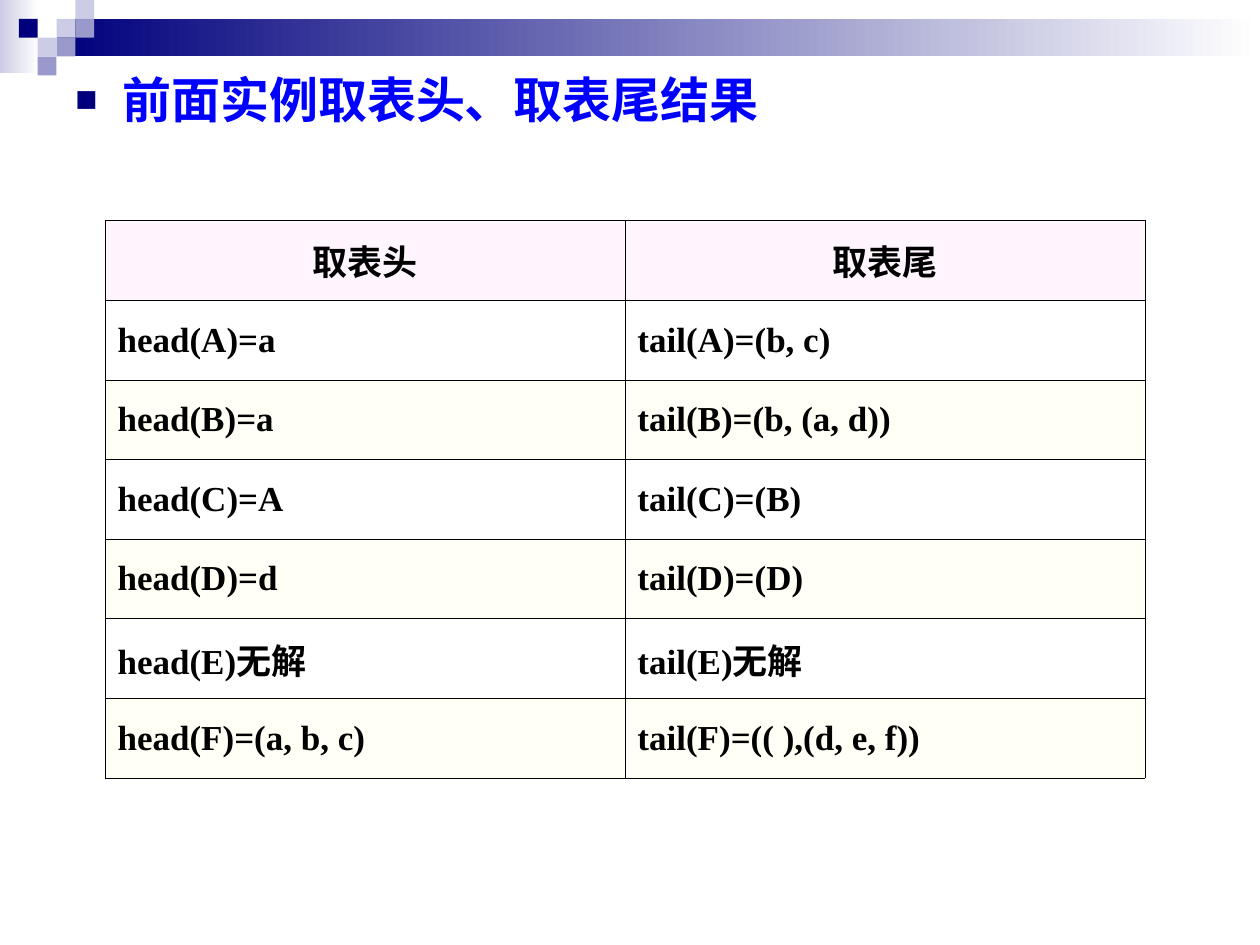
import pptx
import pptx.dml.color
import pptx.enum.shapes
import pptx.enum.text
import pptx.oxml
import pptx.oxml.ns
import pptx.util
from lxml import etree

Cm, Pt = pptx.util.Cm, pptx.util.Pt
ALIGN = pptx.enum.text.PP_ALIGN
NAVY, LILAC, MAUVE, WHITE = "00007D", "CCCCE6", "9999CC", "FFFFFF"
UNIT = 0.38  # side of one square of the corner mosaic

ROWS = [
    ("取表头", "取表尾"),
    ("head(A)=a", "tail(A)=(b, c)"),
    ("head(B)=a", "tail(B)=(b, (a, d))"),
    ("head(C)=A", "tail(C)=(B)"),
    ("head(D)=d", "tail(D)=(D)"),
    ("head(E)无解", "tail(E)无解"),
    ("head(F)=(a, b, c)", "tail(F)=(( ),(d, e, f))"),
]
# column, row, colour
MOSAIC = [(3, 1, LILAC), (4, 0, LILAC), (4, 1, MAUVE), (2, 2, LILAC),
          (1, 1, NAVY), (3, 2, MAUVE), (2, 3, MAUVE)]


def tint(code):
    return pptx.dml.color.RGBColor.from_string(code)


def apply(item, form):
    for name, value in form.items():
        setattr(item, name, value)


def node(root, tag, **attrs):
    return etree.SubElement(root, pptx.oxml.ns.qn(tag), attrs)


class Deck:
    """Holds the text styles and the slide being drawn."""
    head = {"name": "Arial", "size": Pt(28), "bold": True}
    body = {"name": "Times New Roman", "size": Pt(20), "bold": True}
    inset = {"margin_left": Cm(0.25), "margin_right": Cm(0.25),
             "margin_top": Cm(0.13), "margin_bottom": Cm(0.13)}

    def __init__(self):
        self.file = pptx.Presentation()
        apply(self.file, {"slide_width": Cm(25.4), "slide_height": Cm(19.05)})
        self.slide = self.file.slides.add_slide(self.file.slide_layouts[6])

    def label(self, para, text, form, color):
        para.text = text
        apply(para.font, form)
        para.font.color.rgb = tint(color)

    def rect(self, x, y, w, h, *colors):
        """Draw a plain box; two colours make a fade from left to right."""
        kind = pptx.enum.shapes.MSO_SHAPE.RECTANGLE
        box = self.slide.shapes.add_shape(kind, Cm(x), Cm(y), Cm(w), Cm(h))
        box.shadow.inherit = False
        box.line.fill.background()
        if len(colors) == 1:
            box.fill.solid()
            box.fill.fore_color.rgb = tint(colors[0])
            return
        box.fill.gradient()
        box.fill.gradient_angle = 0
        for stop, color, place in zip(box.fill.gradient_stops, colors, (0, 1)):
            stop.color.rgb = tint(color)
            stop.position = place

    def title(self, text, x, y, w, h):
        box = self.slide.shapes.add_textbox(Cm(x), Cm(y), Cm(w), Cm(h))
        frame = box.text_frame
        apply(frame, {"word_wrap": True, **self.inset})
        para = frame.paragraphs[0]
        props = para._p.get_or_add_pPr()
        props.set("marL", str(Cm(0.95)))
        props.set("indent", str(-Cm(0.95)))
        node(node(props, "a:buClr"), "a:srgbClr", val=NAVY)
        node(props, "a:buSzPct", val="75000")
        node(props, "a:buFont", typeface="Arial")
        node(props, "a:buChar", char="■")
        self.label(para, text, self.head, "0000FF")

    def frame(self, cell):
        """Give a cell thin black borders."""
        props = cell._tc.get_or_add_tcPr()
        for side in "LRTB":
            line = node(props, "a:ln" + side, w=str(Pt(0.45)))
            node(node(line, "a:solidFill"), "a:srgbClr", val="000000")

    def table(self, rows, x, y, w, h):
        shape = self.slide.shapes.add_table(
            len(rows), len(rows[0]), Cm(x), Cm(y), Cm(w), Cm(h))
        grid = shape.table
        apply(grid, {"first_row": False, "horz_banding": False})
        middle = pptx.enum.text.MSO_ANCHOR.MIDDLE
        for r, row in enumerate(rows):
            fill = "FFF5FF" if r == 0 else (WHITE if r % 2 else "FFFFF5")
            for c, text in enumerate(row):
                cell = grid.cell(r, c)
                apply(cell, {"vertical_anchor": middle, **self.inset})
                self.frame(cell)
                cell.fill.solid()
                cell.fill.fore_color.rgb = tint(fill)
                para = cell.text_frame.paragraphs[0]
                para.alignment = ALIGN.LEFT if r else ALIGN.CENTER
                self.label(para, text, self.body, "000000")


def main():
    deck = Deck()
    deck.rect(0, 0, 0.79, 1.47, LILAC, WHITE)
    deck.rect(3 * UNIT, UNIT, 25.4 - 3 * UNIT, 2 * UNIT, NAVY, WHITE)
    for col, row, color in MOSAIC:
        deck.rect(col * UNIT, row * UNIT, UNIT, UNIT, color)
    deck.title("前面实例取表头、取表尾结果", 1.27, 1.27, 22.86, 17.78)
    deck.table(ROWS, 2.12, 4.45, 20.96, 11.24)
    deck.file.save("out.pptx")


if __name__ == "__main__":
    main()
